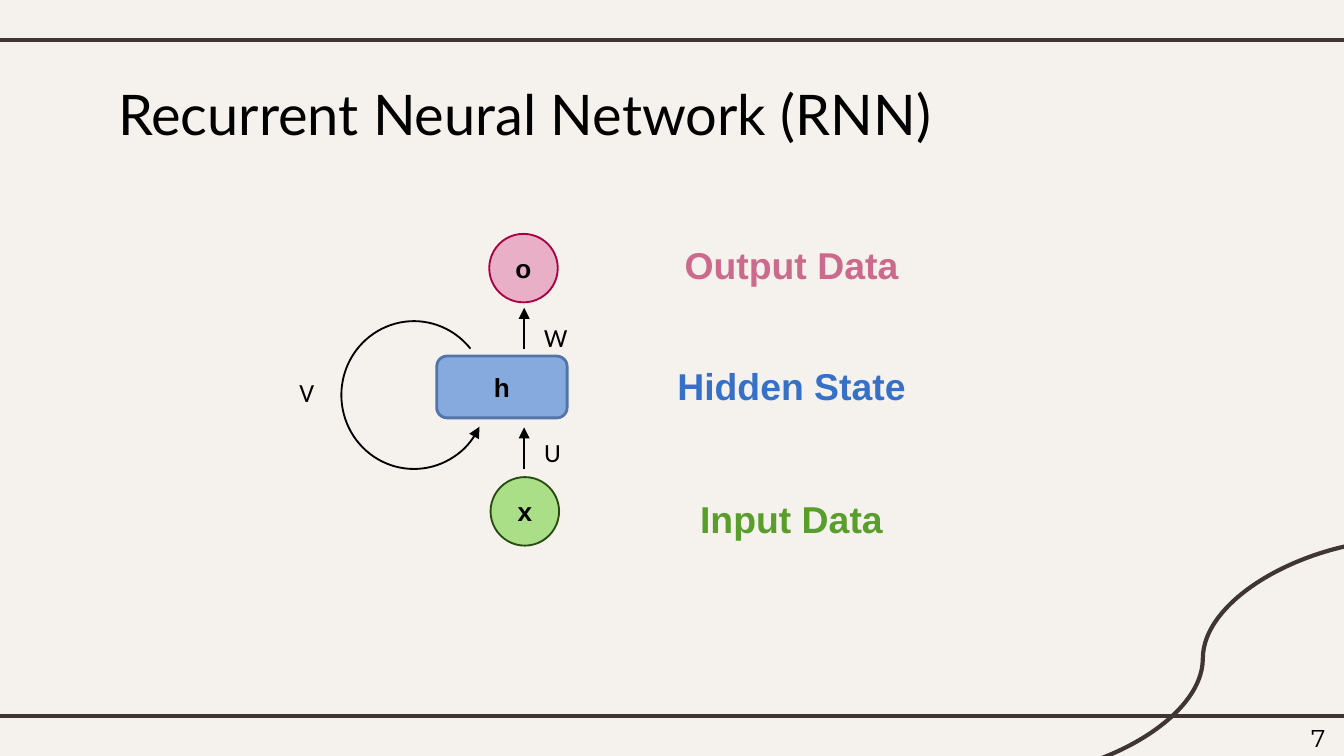
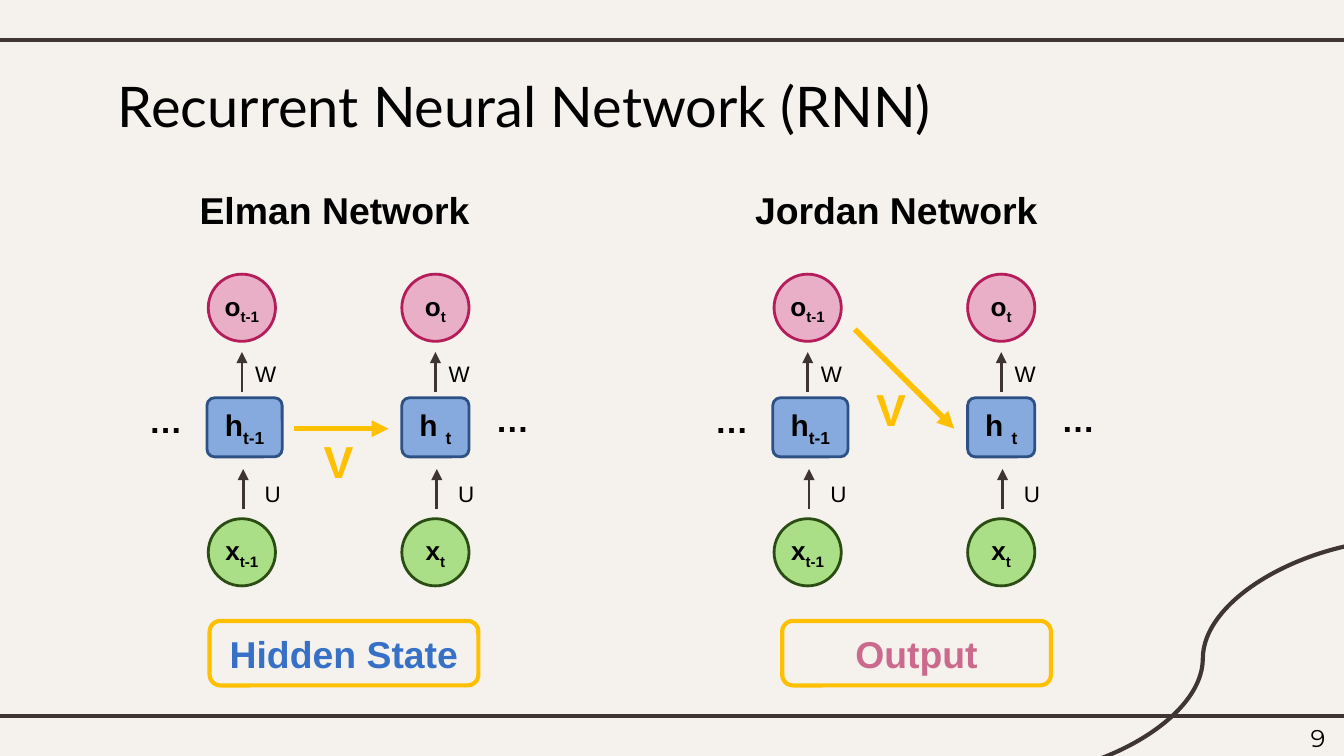
from lxml import etree
from pptx import Presentation
from pptx.dml.color import RGBColor
from pptx.enum.shapes import MSO_CONNECTOR, MSO_SHAPE
from pptx.enum.text import MSO_ANCHOR, PP_ALIGN
from pptx.oxml.ns import qn
from pptx.util import Pt

PX = 9144
ELLIPSE, ROUNDED, ARC = MSO_SHAPE.OVAL, MSO_SHAPE.ROUNDED_RECTANGLE, MSO_SHAPE.ARC
STRAIGHT, CURVE = MSO_CONNECTOR.STRAIGHT, MSO_CONNECTOR.CURVE
LEFT, CENTER, RIGHT = PP_ALIGN.LEFT, PP_ALIGN.CENTER, PP_ALIGN.RIGHT
TOP, MIDDLE = MSO_ANCHOR.TOP, MSO_ANCHOR.MIDDLE

BACKGROUND, RULE, ARROW, BLACK = "F5F2EE", "3F3533", "3E3432", "000000"
PINK, BLUE, GREEN, YELLOW = "E9AFC6", "87AADE", "AADE87", "FFC000"
OUTPUT_TEXT, HIDDEN_TEXT, INPUT_TEXT = "CB6A8D", "3771C7", "599D2B"
OUTPUT_LINE, HIDDEN_LINE, INPUT_LINE = "B41C5A", "2D5085", "2B4D14"


def add_box(page, place, text, size, color=BLACK, font="Arial", bold=True, align=CENTER,
            preset=None, fill=None, line=None, weight=1.5, subscript="", inset=5):
    place = [length * PX for length in place]
    if preset is None:
        box = page.shapes.add_textbox(*place)
    else:
        box = page.shapes.add_shape(preset, *place)
        box.shadow.inherit = False
        box.line.color.rgb = RGBColor.from_string(line)
        box.line.width = Pt(weight)
        if fill:
            box.fill.solid()
            box.fill.fore_color.rgb = RGBColor.from_string(fill)
        else:
            box.fill.background()
    frame = box.text_frame
    frame.word_wrap = preset is None
    frame.vertical_anchor = TOP if preset is None else MIDDLE
    frame.margin_top = frame.margin_bottom = inset * PX
    frame.text = text
    para = frame.paragraphs[0]
    para.alignment = align
    if subscript:
        span = para.add_run()
        span.text = subscript
        span._r.get_or_add_rPr().set("baseline", "-25000")
    for span in para.runs:
        span.font.name = font
        span.font.size = Pt(size)
        span.font.bold = bold
        span.font.color.rgb = RGBColor.from_string(color)
    return box


def add_line(page, ends, color, weight, arrow=False, kind=STRAIGHT):
    connector = page.shapes.add_connector(kind, *[length * PX for length in ends])
    connector.line.color.rgb = RGBColor.from_string(color)
    connector.line.width = Pt(weight)
    if arrow:
        etree.SubElement(connector.line._get_or_add_ln(), qn("a:tailEnd"), type="triangle")
    etree.SubElement(connector._element.spPr, qn("a:effectLst"))


deck = Presentation()
deck.slide_width = 1000 * PX
deck.slide_height = 5143500
background = deck.slide_master.background.fill
background.solid()
background.fore_color.rgb = RGBColor.from_string(BACKGROUND)

pages = []
for number, title_width, spacing in (("7", 668, 1.0), ("9", 634, 0.9)):
    page = deck.slides.add_slide(deck.slide_layouts[6])
    for y in (30, 533):
        add_line(page, (-8, y, 1008, y), RULE, 2.25)
    add_line(page, (1049, 401, 741, 579), RULE, 2.25, kind=CURVE)
    title = add_box(page, (78, 49, title_width, 63), "Recurrent Neural Network (RNN)", 30,
                    font="Lato", bold=False, align=LEFT, inset=10)
    title.text_frame.paragraphs[0].line_spacing = spacing
    add_box(page, (936, 528, 60, 43), number, 13, font="Montserrat", bold=False,
            align=RIGHT, inset=10)
    pages.append(page)
overview, comparison = pages

for top, label, color in ((364, "Input Data", INPUT_TEXT),
                          (265, "Hidden State", HIDDEN_TEXT),
                          (175, "Output Data", OUTPUT_TEXT)):
    add_box(overview, (489, top, 200, 44), label, 20, color)

for place, name, preset, fill, line, weight in (
        ((364, 174, 51, 51), "o", ELLIPSE, PINK, "AB0143", 1),
        ((325, 265, 97, 46), "h", ROUNDED, BLUE, "5275A9", 1.5),
        ((365, 355, 51, 51), "x", ELLIPSE, GREEN, "284B11", 1)):
    add_box(overview, place, name, 14, preset=preset, fill=fill, line=line, weight=weight)

for start in (260, 349):
    add_line(overview, (390, start, 390, start - 31), BLACK, 1, arrow=True)

loop = add_box(overview, (254, 239, 108, 110), "", 14, preset=ARC, line=BLACK, weight=1)
loop.adjustments[0] = 15.47
loop.adjustments[1] = 192.36
etree.SubElement(loop.line._get_or_add_ln(), qn("a:headEnd"), type="triangle")

for left, top, weight_name in ((395, 234, "W"), (395, 320, "U"), (213, 275, "V")):
    add_box(overview, (left, top, 34, 34), weight_name, 14, font="Calibri", bold=False, align=LEFT)

networks = (
    (0, "Elman Network", 123, (219, 319, 289, 319), (226, 318), "Hidden State", HIDDEN_TEXT, 156),
    (421, "Jordan Network", 541, (636, 245, 710, 319), (637, 279), "Output", OUTPUT_TEXT, 582),
)
steps = ((0, "h", "t-1", 154, 56), (144, "h ", "t", 299, 50))

for shift, heading, heading_left, feedback, v_place, source, source_color, source_left in networks:
    add_box(comparison, (heading_left, 134, 252, 44), heading, 20)

    for offset, hidden, time, hidden_left, hidden_width in steps:
        x = shift + offset
        cell = add_box(comparison, (shift + hidden_left, 296, hidden_width, 44), hidden, 16,
                       preset=ROUNDED, fill=BLUE, line=HIDDEN_LINE, subscript=time)
        cell.adjustments[0] = 0.13
        for name, top, fill, line in (("o", 204, PINK, OUTPUT_LINE),
                                      ("x", 386, GREEN, INPUT_LINE)):
            add_box(comparison, (x + 155, top, 50, 50), name, 14, preset=ELLIPSE,
                    fill=fill, line=line, subscript=time)
        for name, arrow_x, start, left, top in (("W", 180, 292, 180, 263),
                                                ("U", 181, 379, 187, 352)):
            add_line(comparison, (x + arrow_x, start, x + arrow_x, start - 30), ARROW, 1.5,
                     arrow=True)
            add_box(comparison, (x + left, top, 29, 30), name, 12, bold=False, align=LEFT)

    add_line(comparison, feedback, YELLOW, 3, arrow=True)
    add_box(comparison, (*v_place, 52, 50), "V", 24, YELLOW)
    for left, top, width in ((101, 293, 31), (359, 292, 36)):
        add_box(comparison, (shift + left, top, width, 40), "…", 18, align=LEFT)
    add_box(comparison, (source_left, 462, 200, 48), source, 20, source_color,
            preset=ROUNDED, line=YELLOW, weight=2.25)

deck.save("out.pptx")
